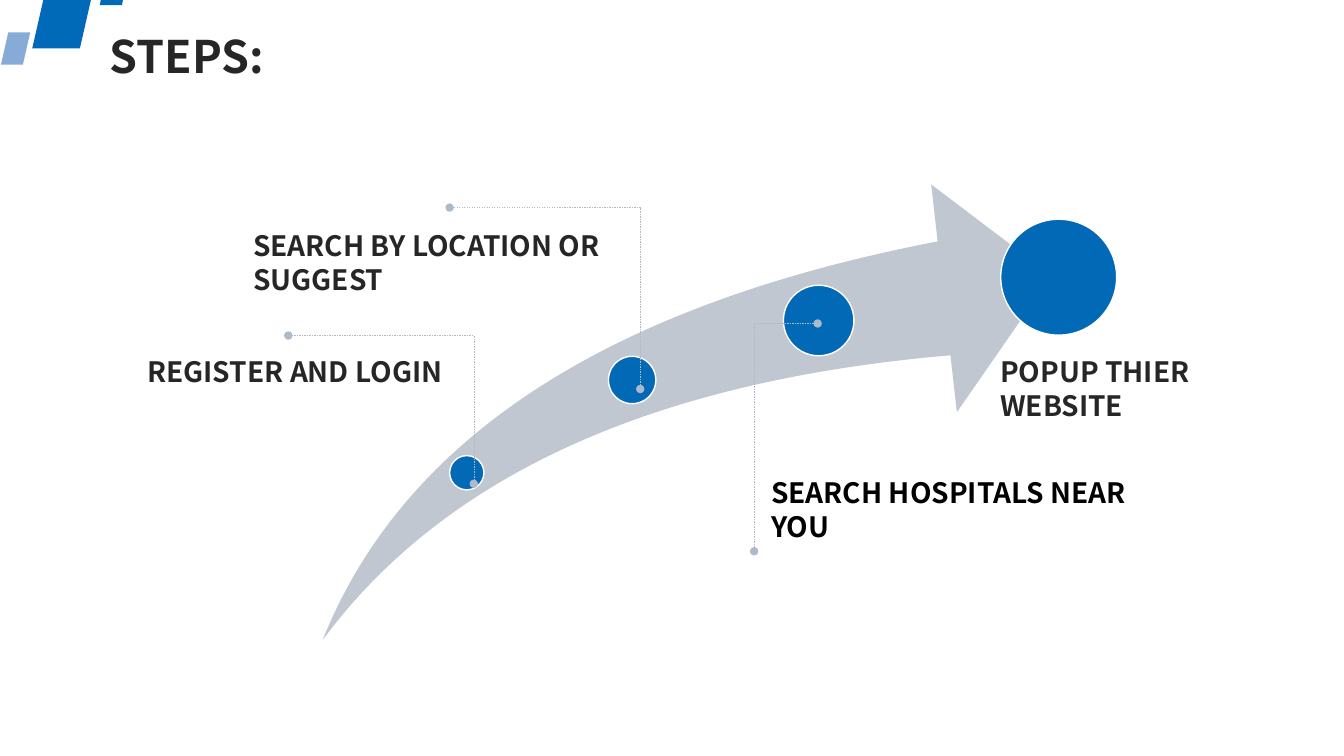
from pptx import Presentation
from pptx.dml.color import RGBColor
from pptx.enum.dml import MSO_LINE
from pptx.enum.shapes import MSO_CONNECTOR, MSO_SHAPE
from pptx.enum.text import MSO_AUTO_SIZE
from pptx.oxml.ns import qn
from pptx.util import Inches, Pt
from lxml import etree

OVAL = MSO_SHAPE.OVAL
SLANT = MSO_SHAPE.PARALLELOGRAM
SWOOSH = MSO_SHAPE.SWOOSH_ARROW
ELBOW = MSO_CONNECTOR.ELBOW
DASH = MSO_LINE.DASH
GROW = MSO_AUTO_SIZE.SHAPE_TO_FIT_TEXT

BLUE = RGBColor(0x02, 0x69, 0xB6)
DEEP = RGBColor(0x00, 0x6A, 0xB8)
PALE = RGBColor(0x86, 0xAB, 0xD6)
GREY = RGBColor(0xC1, 0xC7, 0xD0)
WIRE = RGBColor(0xAD, 0xBA, 0xCA)
INK = RGBColor(0x26, 0x26, 0x26)
BLACK = RGBColor(0, 0, 0)
WHITE = RGBColor(255, 255, 255)

WIDE, HIGH = 13.33, 7.5
FACE = "Noto Sans CJK SC"
PAD = (0.1, 0.05)
BARE = (0, 0)

TEXTS = [
    ("STEPS:", (0.99, 0.24, 2.71, 0.64), 32, INK, PAD),
    ("REGISTER AND LOGIN", (1.46, 3.52, 3.24, 0.34), 20, INK, BARE),
    ("SEARCH BY LOCATION OR SUGGEST", (2.51, 2.27, 3.58, 0.67), 20, INK, BARE),
    ("SEARCH HOSPITALS NEAR YOU", (7.55, 4.67, 3.79, 0.77), 20, BLACK, PAD),
    ("POPUP THIER WEBSITE", (9.92, 3.52, 2.51, 0.67), 20, INK, BARE),
]
DOTS = [(4.63, 4.69, 0.34), (6.27, 3.77, 0.47), (8.12, 3.18, 0.7), (10.5, 2.75, 1.15)]
WIRES = [
    (4.7, 4.8, 2.86, 3.33),
    (6.35, 3.86, 4.46, 2.06),
    (7.48, 5.47, 8.11, 3.21),
]
CHIP = [(1.02, -0.11), (1.24, -0.11), (1.21, 0.05), (0.99, 0.05)]

deck = Presentation()
deck.slide_width, deck.slide_height = Inches(WIDE), Inches(HIGH)
slide = deck.slides.add_slide(deck.slide_layouts[6])
shapes = slide.shapes


def paint(shape, fill, edge=None):
    shape.shadow.inherit = False
    shape.fill.solid()
    shape.fill.fore_color.rgb = fill
    if edge is None:
        shape.line.fill.background()
    else:
        shape.line.color.rgb = edge
        shape.line.width = Pt(1)
    return shape


def draw(kind, box, fill, edge=None):
    return paint(shapes.add_shape(kind, *map(Inches, box)), fill, edge)


def wire(ends):
    link = shapes.add_connector(ELBOW, *map(Inches, ends))
    link.line.color.rgb = WIRE
    link.line.width = Pt(0.25)
    link.line.dash_style = DASH
    props = link._element.spPr
    stroke = props.find(qn("a:ln"))
    for end in ("a:headEnd", "a:tailEnd"):
        etree.SubElement(stroke, qn(end), type="oval")
    etree.SubElement(props, qn("a:effectLst"))
    guides = props.find(qn("a:prstGeom")).get_or_add_avLst()
    etree.SubElement(guides, qn("a:gd"), name="adj1", fmla="val 0")


def write(words, box, size, tint, pad):
    frame = shapes.add_textbox(*map(Inches, box)).text_frame
    side, top = map(Inches, pad)
    form = {
        "word_wrap": True, "auto_size": GROW,
        "margin_left": side, "margin_right": side,
        "margin_top": top, "margin_bottom": top,
    }
    for name, value in form.items():
        setattr(frame, name, value)
    run = frame.paragraphs[0].add_run()
    run.text = words
    for name, value in {"name": FACE, "size": Pt(size), "bold": True}.items():
        setattr(run.font, name, value)
    run.font.color.rgb = tint


draw(SLANT, (0.32, -0.21, 0.63, 0.69), DEEP)
draw(SLANT, (0.01, 0.32, 0.29, 0.32), PALE)
pen = shapes.build_freeform(*map(Inches, CHIP[0]))
pen.add_line_segments([tuple(map(Inches, spot)) for spot in CHIP[1:]])
paint(pen.convert_to_shape(), BLUE)

arrow = draw(SWOOSH, (3.2, 1.83, 7.23, 4.52), GREY)
for slot in range(2):
    arrow.adjustments[slot] = 0.25
for mid, level, size in DOTS:
    draw(OVAL, (mid - size / 2, level - size / 2, size, size), BLUE, WHITE)
for ends in WIRES:
    wire(ends)
for item in TEXTS:
    write(*item)

deck.save("out.pptx")
